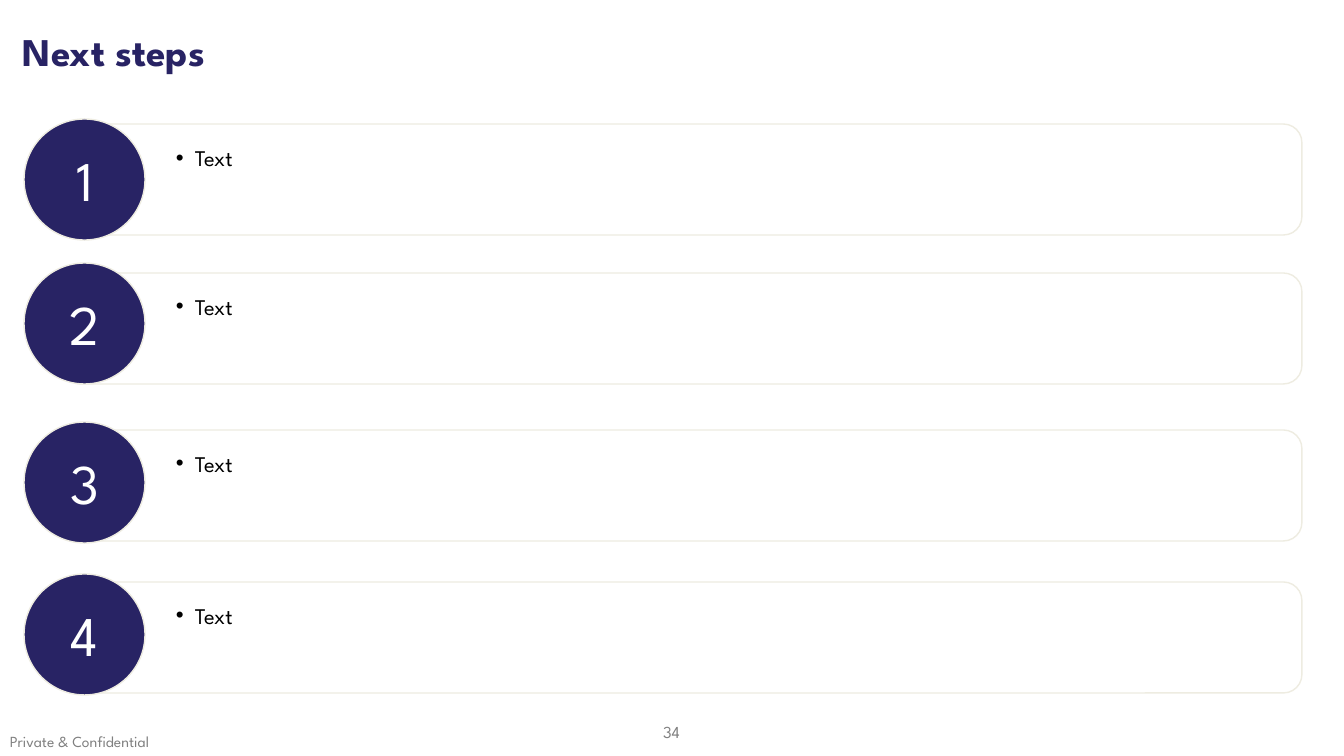
from lxml import etree
from pptx import Presentation, util as u
from pptx.dml.color import RGBColor
from pptx.enum import shapes, text
from pptx.oxml.ns import qn

PX = 914400 / 100.8
THEME = {
    "font": "League Spartan",
    "navy": "282364",
    "outline": "EEECE1",
    "grey": "808080",
    "black": "000000",
    "white": "FFFFFF",
    "title": 28,
    "number": 40,
    "body": 16,
    "page": 12,
    "footer": 11,
}


def write(shape, words, size, color, align="LEFT", anchor="MIDDLE"):
    frame = shape.text_frame
    frame.word_wrap = True
    frame.vertical_anchor = text.MSO_ANCHOR[anchor]
    frame.text = words
    paragraph = frame.paragraphs[0]
    paragraph.alignment = text.PP_ALIGN[align]
    font = paragraph.runs[0].font
    font.name = THEME["font"]
    font.size = u.Pt(THEME[size])
    font.color.rgb = RGBColor.from_string(THEME[color])
    return paragraph


def add_outlined(kind, *box):
    shape = slide.shapes.add_shape(kind, *[round(n * PX) for n in box])
    shape.shadow.inherit = False
    shape.fill.background()
    shape.line.color.rgb = RGBColor.from_string(THEME["outline"])
    shape.line.width = u.Pt(1)
    return shape


presentation = Presentation()
presentation.slide_width = round(1344 * PX)
presentation.slide_height = round(756 * PX)
slide = presentation.slides.add_slide(presentation.slide_layouts[6])

labels = [
    ("34", (642, 712, 59, 40), "page", "grey", "CENTER", "MIDDLE"),
    ("Private & Confidential", (0, 727, 335, 29), "footer", "grey", "LEFT", "TOP"),
    ("Next steps", (0, 1, 1344, 106), "title", "navy", "LEFT", "MIDDLE"),
]
for words, box, size, color, align, anchor in labels:
    label = slide.shapes.add_textbox(*[round(n * PX) for n in box])
    paragraph = write(label, words, size, color, align, anchor)
paragraph.line_spacing = 0.9
paragraph.runs[0].font.bold = True
paragraph._p.get_or_add_pPr().set("marL", str(round(13 * PX)))

steps = [(124, 119, "Text"), (273, 263, "Text"), (430, 422, "Text"), (582, 574, "Text")]
for number, (card_top, circle_top, words) in enumerate(steps, 1):
    add_outlined(shapes.MSO_SHAPE.ROUNDED_RECTANGLE, 62, card_top, 1240, 111)

    body = slide.shapes.add_textbox(*[round(n * PX) for n in (166, card_top + 15, 1115, 37)])
    paragraph = write(body, words, "body", "black", anchor="TOP")
    properties = paragraph._p.get_or_add_pPr()
    properties.set("marL", str(round(19 * PX)))
    properties.set("indent", str(round(-19 * PX)))
    etree.SubElement(properties, qn("a:buFont"), typeface="Arial")
    etree.SubElement(properties, qn("a:buChar"), char="•")

    circle = add_outlined(shapes.MSO_SHAPE.OVAL, 24, circle_top, 121, 121)
    circle.fill.solid()
    circle.fill.fore_color.rgb = RGBColor.from_string(THEME["navy"])
    write(circle, str(number), "number", "white", "CENTER")

presentation.save("out.pptx")
